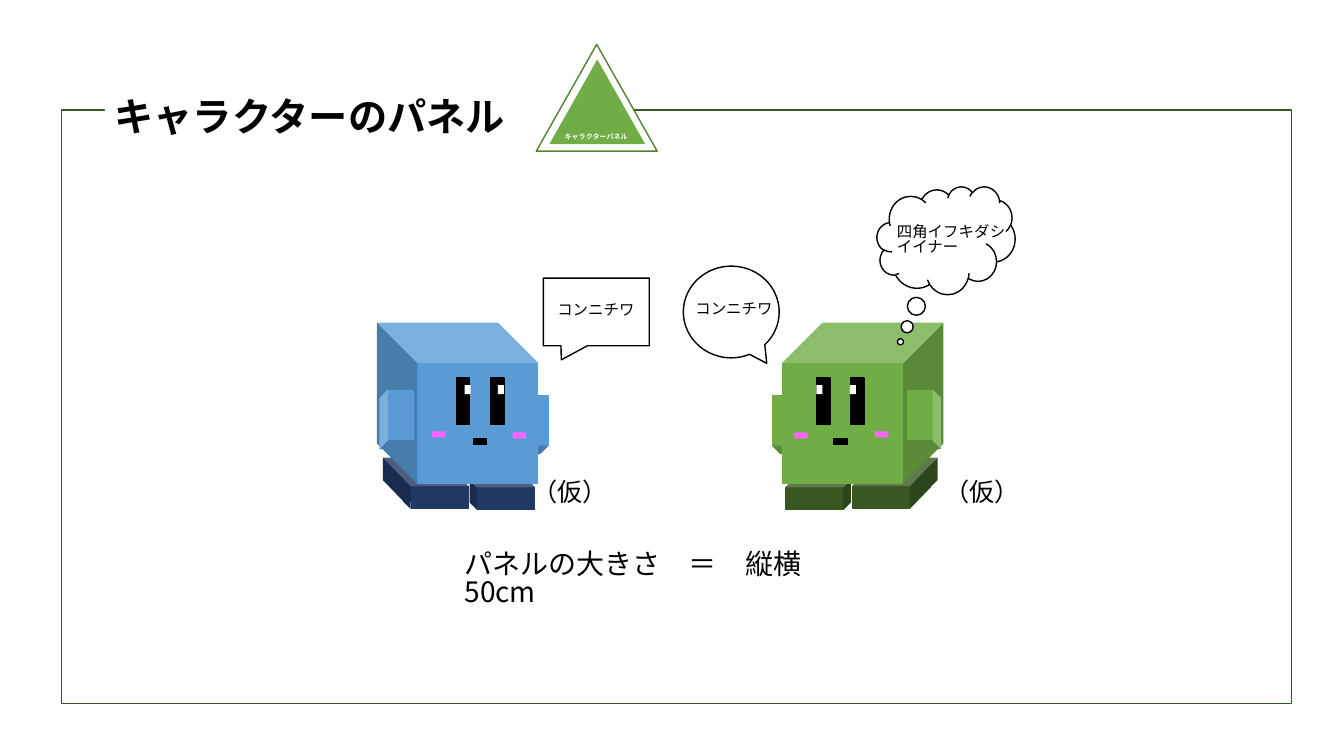
import pptx
import pptx.util
import pptx.dml.color
import pptx.enum.shapes
import pptx.enum.text
import pptx.oxml.ns
import lxml.etree

SHAPE = pptx.enum.shapes.MSO_SHAPE
ALIGN = pptx.enum.text.PP_ALIGN
FONT = "Noto Sans CJK JP"
hex_color = pptx.dml.color.RGBColor.from_string

deck = pptx.Presentation()
deck.slide_width = pptx.util.Inches(13.33)
deck.slide_height = pptx.util.Inches(7.5)
slide = deck.slides.add_slide(deck.slide_layouts[6])
# One column and one row are each 1 % of the slide
column = deck.slide_width / 100
row = deck.slide_height / 100


def draw(parts, preset, left, top, width, height, fill=None, line=None):
    box = (left * column, top * row, width * column, height * row)
    shape = parts.add_shape(preset, *map(round, box))
    shape.shadow.inherit = False
    if fill:
        shape.fill.solid()
        shape.fill.fore_color.rgb = hex_color(fill)
    else:
        shape.fill.background()
    if line:
        shape.line.color.rgb = hex_color(line)
        shape.line.width = pptx.util.Pt(1)
    else:
        shape.line.fill.background()
    return shape


def write(frame, lines, size, color="000000", bold=False, align=ALIGN.LEFT, spacing=0.85):
    for index, line in enumerate(lines):
        paragraph = frame.add_paragraph() if index else frame.paragraphs[0]
        paragraph.alignment = align
        paragraph.line_spacing = spacing
        run = paragraph.add_run()
        run.text = line
        run.font.name = FONT
        run.font.size = pptx.util.Pt(size)
        run.font.bold = bold
        run.font.color.rgb = hex_color(color)
        east_asian = lxml.etree.SubElement(run.font._element, pptx.oxml.ns.qn("a:ea"))
        east_asian.set("typeface", FONT)


# Panel size and the provisional marks, then the labels inside groups
# parts, left, top, width, height, lines, size, color, bold, align, wrap
labels = [
    (slide.shapes, 33.83, 72.27, 31.13, 5.87, ["パネルの大きさ　＝　縦横50cm"], 20, "000000", False, ALIGN.LEFT, True),
]
for mark_left in (38.85, 69.53):
    labels.append((slide.shapes, mark_left, 62.93, 7.2, 5.33, ["（仮）"], 18, "000000", False, ALIGN.LEFT, False))

# Mascot: preset, left, top, width, height, colour, quarter turns
BODY, FOOT, BLACK, WHITE, CHEEK = "body", "foot", "000000", "FFFFFF", "FF66FF"
mascot = [(SHAPE.CUBE, 56.48, 53.87, 4.43, 4.53, BODY, 1)]
mascot += [(SHAPE.CUBE, 64.88 - 0.5 * step, 60.53 + 0.93 * step, 4.88, 4, FOOT, 0) for step in range(4)]
mascot += [
    (SHAPE.CUBE, 58.43, 63.47, 4.88, 4, FOOT, 0),
    (SHAPE.CUBE, 58.2, 42.67, 12, 21.33, BODY, 0),
    (SHAPE.RECTANGLE, 63.3, 50, 1, 6.13, BLACK, 0),
    (SHAPE.RECTANGLE, 60.75, 50, 1, 6.13, BLACK, 0),
    (SHAPE.RECTANGLE, 63.23, 50.93, 0.45, 1.2, WHITE, 0),
    (SHAPE.RECTANGLE, 60.75, 50.93, 0.45, 1.2, WHITE, 0),
    (SHAPE.RECTANGLE, 62.03, 58, 1, 0.8, BLACK, 0),
    (SHAPE.RECTANGLE, 59.1, 57.2, 1, 0.8, CHEEK, 0),
    (SHAPE.RECTANGLE, 65.1, 57.07, 1, 0.8, CHEEK, 0),
    (SHAPE.CUBE, 66.53, 53.2, 4.43, 4.53, BODY, 1),
]

# Green mascot, and the blue one as its mirror image
MIRROR = 98.25
for body_color, foot_color, mirrored in (("70AD47", "385723", False), ("5B9BD5", "203864", True)):
    parts = slide.shapes.add_group_shape().shapes
    for preset, left, top, width, height, color, turns in mascot:
        fill = {BODY: body_color, FOOT: foot_color}.get(color, color)
        outline = BLACK if color == BLACK else None
        if mirrored:
            left = MIRROR - left - width
        piece = draw(parts, preset, left, top, width, height, fill, outline)
        piece.rotation = (-90 if mirrored else 90) * turns % 360
        if mirrored:
            piece.element.spPr.xfrm.set("flipH", "1")

# Speech and thought bubbles
bubbles = [
    (SHAPE.RECTANGULAR_CALLOUT, (40.43, 36.8, 7.88, 8.93), (-0.33, 0.71),
     (40.73, 39.47, 7.28, 3.87), ["コンニチワ"]),
    (SHAPE.OVAL_CALLOUT, (50.85, 35.2, 7.13, 12.13), (0.37, 0.56),
     (51, 39.33, 7.28, 3.87), ["コンニチワ"]),
    (SHAPE.CLOUD_CALLOUT, (65.25, 24.67, 10.28, 14.27), (-0.33, 0.94),
     (66, 29.07, 9.6, 6.27), ["四角イフキダシ", "イイナー"]),
]
for preset, bubble_box, tail, words_box, lines in bubbles:
    parts = slide.shapes.add_group_shape().shapes
    bubble = draw(parts, preset, *bubble_box, WHITE, BLACK)
    bubble.adjustments[0], bubble.adjustments[1] = tail
    labels.append((parts, *words_box, lines, 11, BLACK, False, ALIGN.LEFT, False))

# Frame and title
draw(slide.shapes, SHAPE.RECTANGLE, 4.58, 14.53, 91.5, 78.53, line="385723")
title = draw(slide.shapes, SHAPE.RECTANGLE, 7.8, 11.47, 39.3, 7.6, WHITE)
title.text_frame.word_wrap = True
write(title.text_frame, ["キャラクターのパネル"], 28, bold=True, spacing=1.0)

# Triangle badge
badge = slide.shapes.add_group_shape().shapes
draw(badge, SHAPE.ISOSCELES_TRIANGLE, 40.88, 7.87, 7.13, 11.2, "70AD47")
draw(badge, SHAPE.ISOSCELES_TRIANGLE, 39.9, 5.87, 9, 14.13, line="538035")
labels.append((badge, 41.25, 17.07, 6.23, 2.53, ["キャラクターパネル"], 5, WHITE, True, ALIGN.CENTER, False))

# All free-standing text
for parts, left, top, width, height, lines, size, color, bold, align, wrap in labels:
    box = (left * column, top * row, width * column, height * row)
    frame = parts.add_textbox(*map(round, box)).text_frame
    frame.word_wrap = wrap
    frame.auto_size = pptx.enum.text.MSO_AUTO_SIZE.SHAPE_TO_FIT_TEXT
    write(frame, lines, size, color, bold, align)

deck.save("out.pptx")
